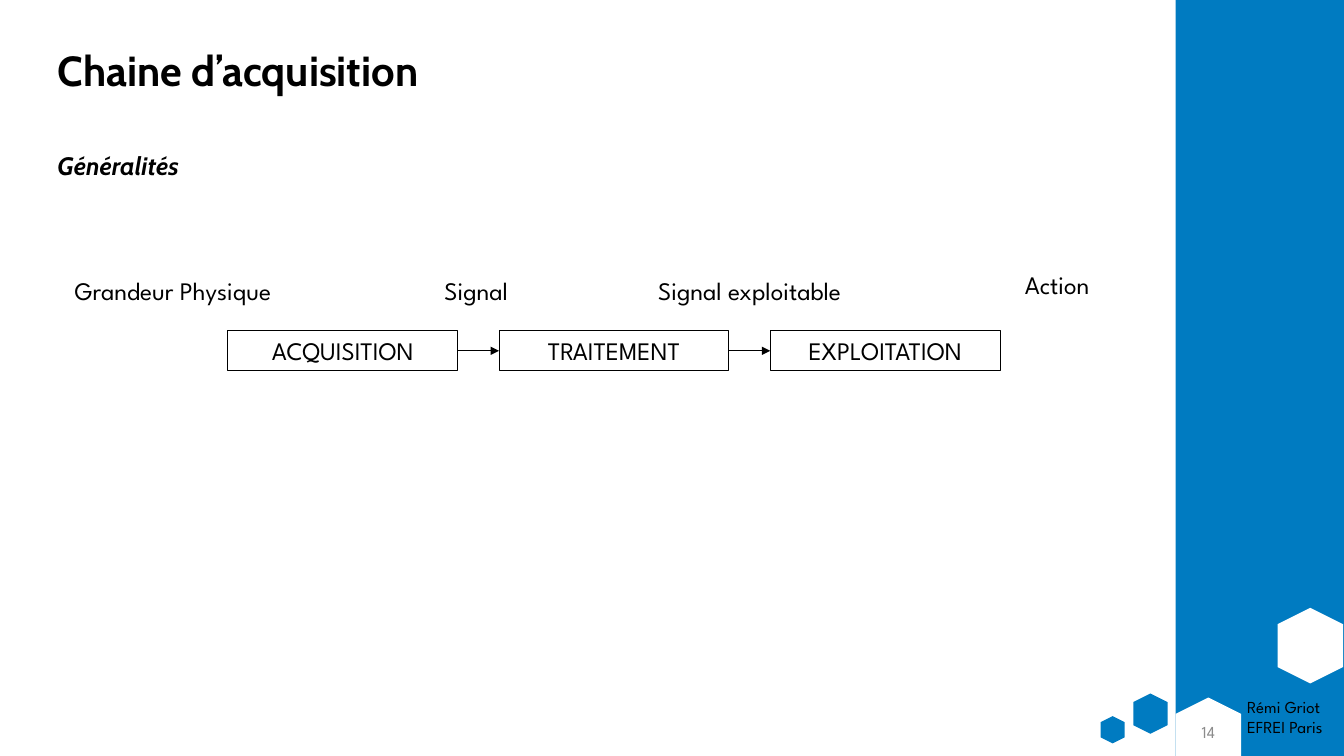
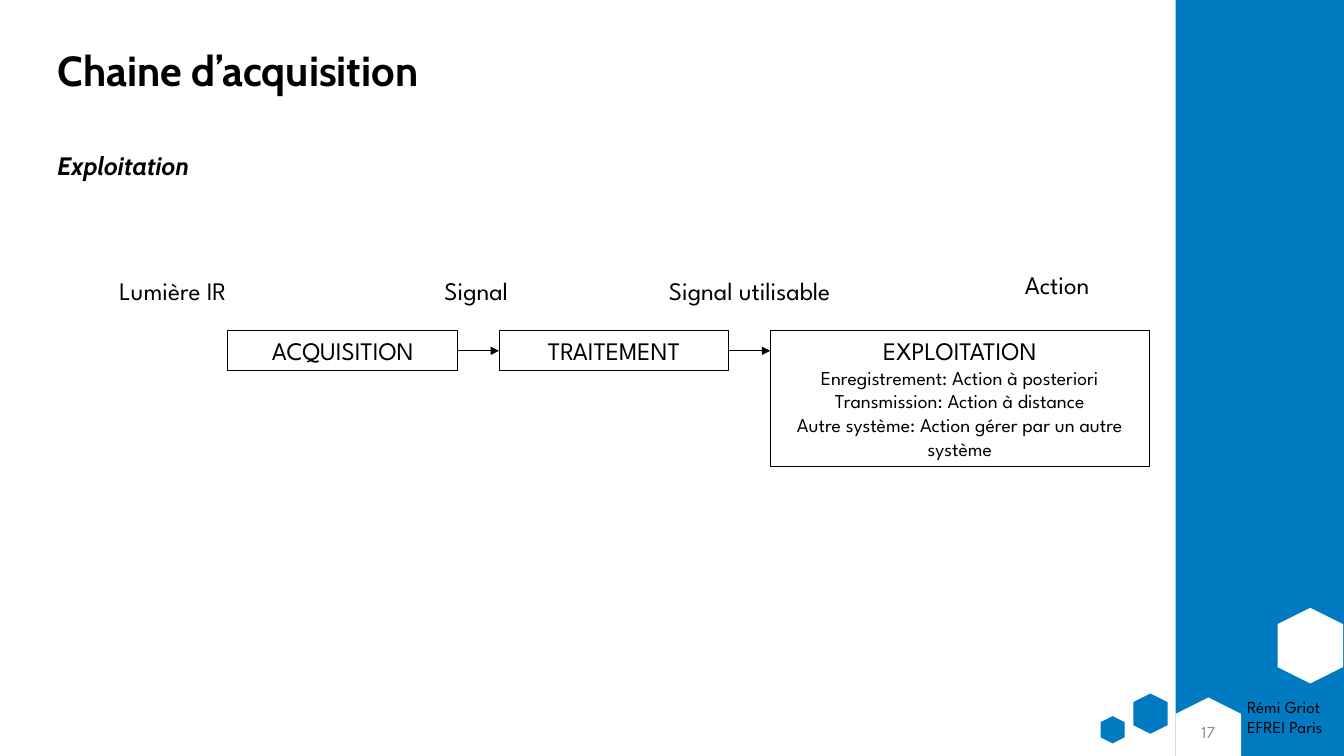
"""Build the two slides on the acquisition chain."""
from dataclasses import dataclass

from lxml import etree
from pptx import Presentation
from pptx.dml.color import RGBColor
from pptx.enum.shapes import MSO_CONNECTOR, MSO_SHAPE
from pptx.enum.text import MSO_ANCHOR, MSO_AUTO_SIZE, PP_ALIGN
from pptx.oxml.ns import qn
from pptx.shapes.autoshape import Shape
from pptx.slide import Slide
from pptx.util import Inches, Pt

BLUE = RGBColor(0x00, 0x7B, 0xC1)
WHITE = RGBColor(0xFF, 0xFF, 0xFF)
BLACK = RGBColor(0x00, 0x00, 0x00)
GREY = RGBColor(0x8C, 0x8C, 0x8C)

HEADING_FONT = "Cabin"
TEXT_FONT = "League Spartan"

RECTANGLE = MSO_SHAPE.RECTANGLE
HEXAGON = MSO_SHAPE.HEXAGON
STRAIGHT = MSO_CONNECTOR.STRAIGHT
LEFT = PP_ALIGN.LEFT
CENTER = PP_ALIGN.CENTER
TOP = MSO_ANCHOR.TOP
MIDDLE = MSO_ANCHOR.MIDDLE
FIXED_SIZE = MSO_AUTO_SIZE.NONE
GROW = MSO_AUTO_SIZE.SHAPE_TO_FIT_TEXT

LEFT_SIDE, RIGHT_SIDE = 1, 3

STEP_LEFT, STEP_TOP = 2.26, 3.28
STEP_WIDTH, STEP_HEIGHT = 2.28, 0.4
STEP_PITCH = 2.69


@dataclass(frozen=True)
class Box:
    """Position and size in inches."""

    left: float
    top: float
    width: float
    height: float


@dataclass(frozen=True)
class Decoration:
    """Filled shape of the shared frame."""

    box: Box
    color: RGBColor
    preset: MSO_SHAPE = HEXAGON
    rotation: float = 90


@dataclass(frozen=True)
class Step:
    """Box of the chain with optional smaller details."""

    name: str
    details: tuple[str, ...] = ()
    width: float = STEP_WIDTH
    height: float = STEP_HEIGHT


@dataclass(frozen=True)
class ChainSlide:
    """Content of one slide."""

    subtitle: str
    number: str
    quantity: str
    usable_signal: str
    last_step: Step


TITLE = "Chaine d’acquisition"
TITLE_BOX = Box(0.47, 0, 10.82, 1.45)
SUBTITLE_BOX = Box(0.47, 1.47, 8.77, 0.4)
AUTHOR_BOX = Box(12.27, 6.86, 1.1, 0.5)
NUMBER_BOX = Box(11.66, 7.06, 0.65, 0.4)
QUANTITY_BOX = Box(0.2, 2.68, 3.03, 0.4)
SIGNAL_BOX = Box(4.31, 2.68, 0.95, 0.4)
USABLE_SIGNAL_BOX = Box(6.09, 2.68, 2.69, 0.4)
ACTION_BOX = Box(9.14, 2.62, 2.69, 0.4)

DECORATIONS = (
    Decoration(Box(11.66, 0, 1.67, 7.5), BLUE, RECTANGLE, 0),
    Decoration(Box(12.62, 6.08, 0.75, 0.65), WHITE),
    Decoration(Box(11.21, 6.91, 0.4, 0.34), BLUE),
    Decoration(Box(10.9, 7.12, 0.27, 0.24), BLUE),
    Decoration(Box(11.61, 6.97, 0.75, 0.65), WHITE),
)

FIRST_STEPS = (Step("ACQUISITION"), Step("TRAITEMENT"))

SLIDES = (
    ChainSlide("Généralités", "14", "Grandeur Physique", "Signal exploitable",
               Step("EXPLOITATION")),
    ChainSlide("Exploitation", "17", "Lumière IR", "Signal utilisable",
               Step("EXPLOITATION",
                    ("Enregistrement: Action à posteriori",
                     "Transmission: Action à distance",
                     "Autre système: Action gérer par un autre système"),
                    3.76, 1.35)),
)


def lengths(box: Box) -> tuple[Inches, ...]:
    """Return the box as left, top, width and height lengths."""
    return tuple(Inches(value) for value in (box.left, box.top, box.width, box.height))


def write_text(shape: Shape, *lines: str, size: float = 18, detail_size: float | None = None,
               font: str = TEXT_FONT, color: RGBColor = BLACK, bold: bool = False,
               italic: bool = False, align: PP_ALIGN = CENTER, anchor: MSO_ANCHOR = TOP,
               auto_size: MSO_AUTO_SIZE = GROW, line_spacing: float = 1.0) -> None:
    """Write one paragraph per line, with later lines in the detail size."""
    frame = shape.text_frame
    frame.word_wrap = True
    frame.auto_size = auto_size
    frame.vertical_anchor = anchor
    for index, line in enumerate(lines):
        paragraph = frame.add_paragraph() if index else frame.paragraphs[0]
        paragraph.alignment = align
        paragraph.line_spacing = line_spacing
        paragraph.space_before = Pt(0)
        run = paragraph.add_run()
        run.text = line
        run.font.size = Pt(detail_size if index and detail_size else size)
        run.font.name = font
        run.font.bold = bold
        run.font.italic = italic
        run.font.color.rgb = color


def place(shape: Shape, box: Box) -> None:
    """Move and size a placeholder."""
    shape.left, shape.top, shape.width, shape.height = lengths(box)


def add_label(slide: Slide, box: Box, *lines: str, **text_format) -> None:
    """Add a formatted text box."""
    write_text(slide.shapes.add_textbox(*lengths(box)), *lines, **text_format)


def add_frame(slide: Slide, number: str) -> None:
    """Draw the side band, hexagons, author and slide number."""
    for decoration in DECORATIONS:
        shape = slide.shapes.add_shape(decoration.preset, *lengths(decoration.box))
        shape.shadow.inherit = False
        shape.fill.solid()
        shape.fill.fore_color.rgb = decoration.color
        shape.line.fill.background()
        shape.rotation = decoration.rotation
    add_label(slide, AUTHOR_BOX, "Rémi Griot", "EFREI Paris", size=12, align=LEFT)
    add_label(slide, NUMBER_BOX, number, size=12, color=GREY, anchor=MIDDLE,
              auto_size=FIXED_SIZE)


def add_headings(slide: Slide, subtitle: str) -> None:
    """Fill the title and body placeholders."""
    title, body = slide.shapes.title, slide.placeholders[1]
    place(title, TITLE_BOX)
    write_text(title, TITLE, size=30, font=HEADING_FONT, bold=True, align=LEFT,
               anchor=MIDDLE, auto_size=FIXED_SIZE, line_spacing=0.9)
    place(body, SUBTITLE_BOX)
    properties = body.text_frame.paragraphs[0]._p.get_or_add_pPr()
    properties.set("marL", "0")
    properties.set("indent", "0")
    etree.SubElement(properties, qn("a:buNone"))
    write_text(body, subtitle, font=HEADING_FONT, bold=True, italic=True, align=LEFT,
               auto_size=FIXED_SIZE, line_spacing=0.9)


def add_step(slide: Slide, step: Step, left: float) -> Shape:
    """Draw one outlined step of the chain."""
    box = Box(left, STEP_TOP, step.width, step.height)
    shape = slide.shapes.add_shape(RECTANGLE, *lengths(box))
    shape.shadow.inherit = False
    shape.fill.background()
    shape.line.color.rgb = BLACK
    shape.line.width = Pt(0.75)
    write_text(shape, step.name, *step.details, detail_size=14)
    return shape


def add_arrow(slide: Slide, source: Shape, target: Shape) -> None:
    """Draw a level arrow from one step to the next."""
    middle = source.top + source.height // 2
    arrow = slide.shapes.add_connector(STRAIGHT, source.left + source.width, middle,
                                       target.left, middle)
    arrow.begin_connect(source, RIGHT_SIDE)
    if target.height == source.height:
        arrow.end_connect(target, LEFT_SIDE)
    arrow.line.color.rgb = BLACK
    arrow.line.width = Pt(0.5)
    etree.SubElement(arrow.line._get_or_add_ln(), qn("a:tailEnd"), type="triangle")
    etree.SubElement(arrow._element.spPr, qn("a:effectLst"))


def add_chain(slide: Slide, content: ChainSlide) -> None:
    """Draw the steps, the arrows between them and the labels above."""
    steps = [add_step(slide, step, STEP_LEFT + index * STEP_PITCH)
             for index, step in enumerate((*FIRST_STEPS, content.last_step))]
    for source, target in zip(steps, steps[1:]):
        add_arrow(slide, source, target)
    add_label(slide, QUANTITY_BOX, content.quantity)
    add_label(slide, SIGNAL_BOX, "Signal", align=LEFT)
    add_label(slide, USABLE_SIGNAL_BOX, content.usable_signal)
    add_label(slide, ACTION_BOX, "Action")


def main() -> None:
    """Build and save the presentation."""
    presentation = Presentation()
    presentation.slide_width = Inches(13.33)
    presentation.slide_height = Inches(7.5)
    for content in SLIDES:
        slide = presentation.slides.add_slide(presentation.slide_layouts[1])
        add_frame(slide, content.number)
        add_headings(slide, content.subtitle)
        add_chain(slide, content)
    presentation.save("out.pptx")


if __name__ == "__main__":
    main()
